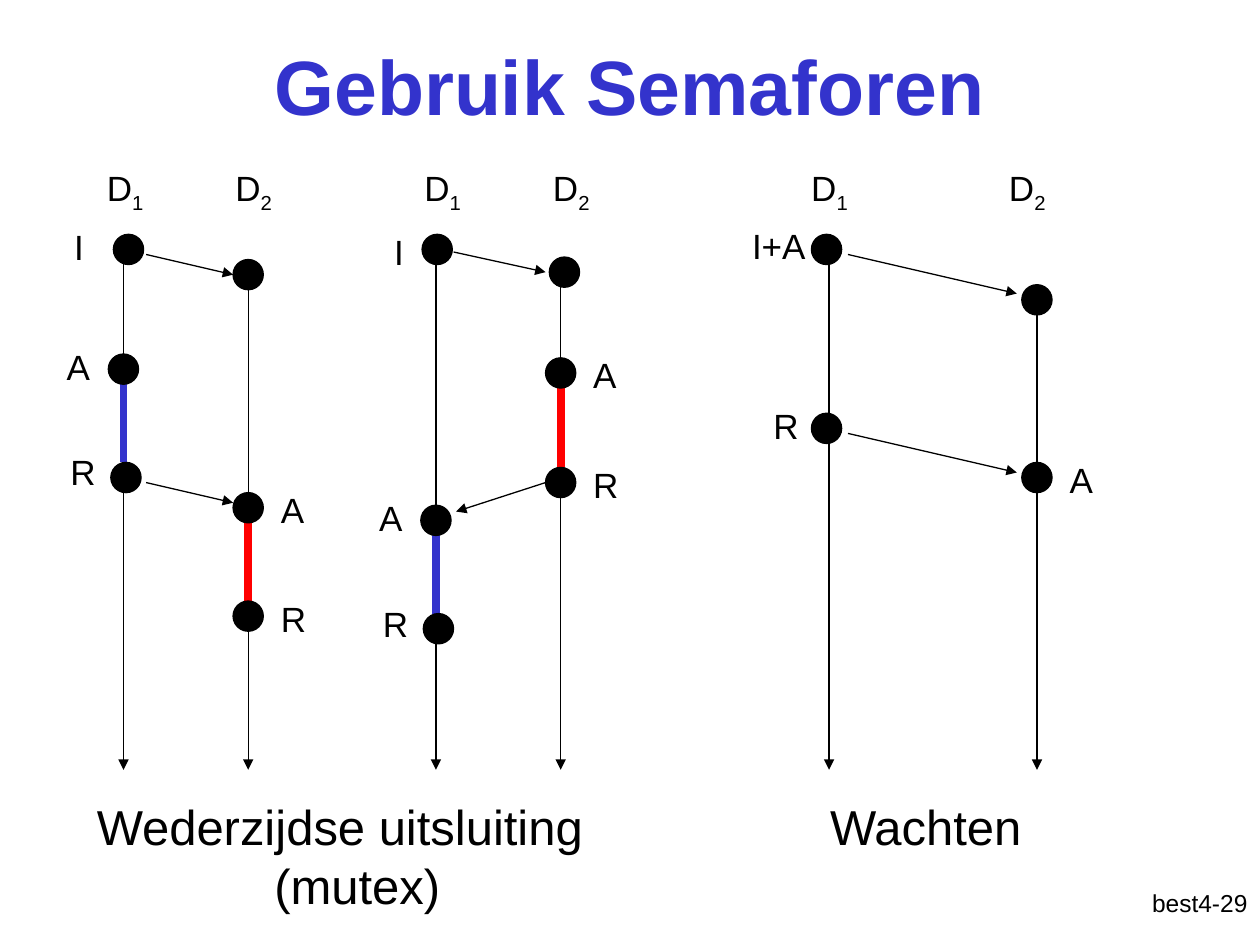
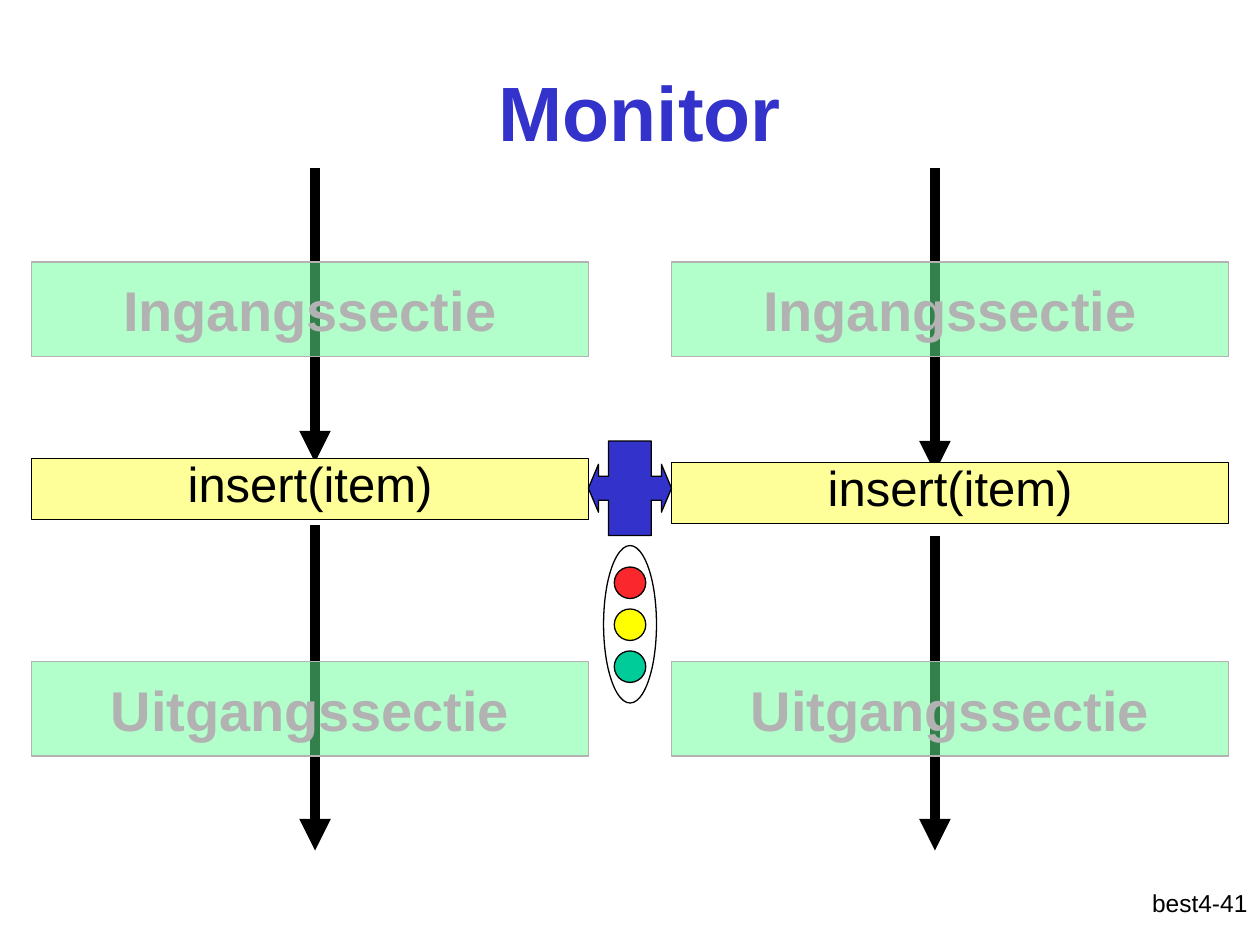
from lxml import etree
from pptx import Presentation
from pptx.dml.color import RGBColor
from pptx.enum.shapes import MSO_CONNECTOR, MSO_SHAPE
from pptx.enum.text import MSO_ANCHOR as ANCHOR, PP_ALIGN as ALIGN
from pptx.oxml.ns import qn
from pptx.util import Inches, Pt

COLORS = {
    "black": "000000", "white": "FFFFFF", "blue": "3333CC", "red": "FF0000",
    "grey": "B2B2B2", "mint": "66FF99", "cream": "FFFF99",
    "stop": "FA282D", "caution": "FFFF00", "go": "00CC99",
}
RGB = {name: RGBColor.from_string(value) for name, value in COLORS.items()}
FONT = "Arial"

deck = Presentation()
deck.slide_width, deck.slide_height = Inches(10), Inches(7.5)
UNIT = deck.slide_width / 100  # the grid has 100 columns and 75 rows


def place(slide, box, text="", size=20, color="black", bold=False, align=ALIGN.LEFT,
          anchor=ANCHOR.TOP, preset=None, fill="black", line="black", weight=0.75):
    """Put a text box, or a filled preset shape, on a box of grid units."""
    area = [round(length * UNIT) for length in box]
    if preset is None:
        item = slide.shapes.add_textbox(*area)
    else:
        item = slide.shapes.add_shape(preset, *area)
        item.shadow.inherit = False
        item.fill.solid()
        item.fill.fore_color.rgb = RGB[fill]
        item.line.color.rgb = RGB[line]
        item.line.width = Pt(weight)
    if text:
        frame = item.text_frame
        frame.text = text
        frame.word_wrap = True
        frame.vertical_anchor = anchor
        for paragraph in frame.paragraphs:
            paragraph.alignment = align
            for run in paragraph.runs:
                run.font.name, run.font.size, run.font.bold = FONT, Pt(size), bold
                run.font.color.rgb = RGB[color]
    return item


def connect(slide, x1, y1, x2, y2, color="black", weight=0.75, arrow=True):
    ends = [round(length * UNIT) for length in (x1, y1, x2, y2)]
    link = slide.shapes.add_connector(MSO_CONNECTOR.STRAIGHT, *ends)
    link.line.color.rgb = RGB[color]
    link.line.width = Pt(weight)
    if arrow:
        etree.SubElement(link.line._get_or_add_ln(), qn("a:tailEnd"), type="triangle")
    etree.SubElement(link._element.spPr, qn("a:effectLst"))


slides = []
for title, left, top, page in [("Gebruik Semaforen", 7.5, 0.5, "best4-29"),
                               ("Monitor", 8.3, 2.5, "best4-41")]:
    slide = deck.slides.add_slide(deck.slide_layouts[6])
    place(slide, (79.2, 70, 20.8, 5), page, 14, align=ALIGN.RIGHT)
    place(slide, (left, top, 85, 12.5), title, 44, "blue", True, ALIGN.CENTER, ANCHOR.MIDDLE)
    slides.append(slide)
semaphores, monitor = slides

# Semaphore use: three scenarios of two processes each
LANE_END, DOT, SECTION = 61.1, 2.4, 6.3
scenarios = [
    {"heads": (7.5, 17.7),
     "lanes": [(9.8, 20.2), (19.7, 21)],
     "sections": [(9.8, 30.4, "blue"), (19.7, 41.4, "red")],
     # dot left, dot top, label, label left, label top
     "events": [(9, 18.6, "I", 4.9, 17.4), (18.5, 20.6, "", 0, 0),
                (8.6, 28.1, "A", 4.3, 26.9), (8.8, 36.7, "R", 4.6, 35.3),
                (18.5, 39.1, "A", 21.3, 38.3), (18.5, 47.7, "R", 21.3, 46.9)],
     "signals": [(11.6, 20.2, 18.5, 21.8), (11.6, 38.3, 18.5, 39.9)]},
    {"heads": (32.7, 42.9),
     "lanes": [(34.6, 20.2), (44.5, 21)],
     "sections": [(34.6, 42.4, "blue"), (44.5, 30.8, "red")],
     "events": [(33.5, 18.6, "I", 30.3, 17.8), (43.6, 20.4, "", 0, 0),
                (43.3, 28.4, "A", 46.1, 27.6), (43.3, 37.1, "R", 46.1, 36.3),
                (33.4, 40.1, "A", 29.1, 38.9), (33.6, 48.7, "R", 29.4, 47.3)],
     "signals": [(36, 20, 43.3, 21.6), (43.3, 38.3, 36.2, 40.6)]},
    {"heads": (63.4, 79.1),
     "lanes": [(65.8, 20.2), (82.3, 23.3)],
     "sections": [],
     "events": [(64.4, 18.6, "I+A", 58.7, 17.3), (81.1, 22.6, "", 0, 0),
                (64.4, 32.8, "R", 60.4, 31.6), (81.1, 36.7, "A", 83.9, 35.9)],
     "signals": [(67.3, 20.2, 80.7, 23.3), (67.3, 34.4, 80.7, 37.5)]},
]
for scenario in scenarios:
    for number, left in enumerate(scenario["heads"], 1):
        head = place(semaphores, (left, 12.7, 9.4, 4.8), "D")
        index = head.text_frame.paragraphs[0].add_run()
        index.text = str(number)
        index.font.name, index.font.size = FONT, Pt(20)
        index.font.color.rgb = RGB["black"]
        index._r.get_or_add_rPr().set("baseline", "-25000")
    for x, start in scenario["lanes"]:
        connect(semaphores, x, start, x, LANE_END)
    for x, start, color in scenario["sections"]:
        connect(semaphores, x, start, x, start + SECTION, color, 4.5, arrow=False)
    for x, y, label, label_x, label_y in scenario["events"]:
        place(semaphores, (x, y, DOT, DOT), preset=MSO_SHAPE.OVAL)
        if label:
            width = 7.1 if len(label) > 1 else 3.9
            place(semaphores, (label_x, label_y, width, 4.4), label)
    for signal in scenario["signals"]:
        connect(semaphores, *signal)

mutex = place(semaphores, (6.7, 62.7, 43.3, 10), "Wederzijdse uitsluiting\n(mutex)", 28)
second_line = mutex.text_frame.paragraphs[1]
second_line.alignment = ALIGN.CENTER
second_line.line_spacing = 0.4
second_line.space_before = Pt(17.5)
place(semaphores, (64.9, 62.7, 30.7, 5.7), "Wachten", 28)

# Monitor: two processes guarded by one traffic light
SIDE = 44.2
processes = [  # box left, flow x, insert top, first flow end, second flow start
    (2.5, 25, 36.4, 36.7, 41.7),
    (53.3, 74.2, 36.7, 37.5, 42.5),
]
for left, flow, insert_top, entry_end, exit_start in processes:
    connect(monitor, flow, 13.3, flow, entry_end, weight=6)
    connect(monitor, flow, exit_start, flow, 67.5, weight=6)
    insert = place(monitor, (left, insert_top, SIDE, 4.8), "insert(item)", 28,
                   align=ALIGN.CENTER, preset=MSO_SHAPE.RECTANGLE, fill="cream", weight=0.25)
    insert.text_frame.paragraphs[0].line_spacing = 0.8
    for section, top in [("Ingangssectie", 20.8), ("Uitgangssectie", 52.5)]:
        band = place(monitor, (left, top, SIDE, 7.5), section, 32, "grey", True, ALIGN.CENTER,
                     ANCHOR.MIDDLE, MSO_SHAPE.RECTANGLE, "mint", "grey")
        tint = band._element.spPr.find(".//" + qn("a:srgbClr"))
        etree.SubElement(tint, qn("a:alpha"), val="50000")

# The exclusion cross follows from its upper right quarter by symmetry
quarter = [(1.7, -3.75), (1.7, -0.95), (2.5, -0.95), (2.5, -1.9), (3.3, 0)]
right_half = quarter + [(x, -y) for x, y in reversed(quarter[:-1])]
outline = right_half + [(-x, -y) for x, y in right_half]
corners = [(round((50 + x) * UNIT), round((38.75 + y) * UNIT)) for x, y in outline]
builder = monitor.shapes.build_freeform(*corners[0])
builder.add_line_segments(corners[1:], close=True)
cross = builder.convert_to_shape()
cross.shadow.inherit = False
cross.fill.solid()
cross.fill.fore_color.rgb = RGB["blue"]
cross.line.color.rgb = RGB["black"]
cross.line.width = Pt(0.75)

place(monitor, (47.9, 43.3, 4.2, 12.5), preset=MSO_SHAPE.OVAL, fill="white")
for step, lamp in enumerate(["stop", "caution", "go"]):
    place(monitor, (48.75, 45 + step * 3.33, 2.5, 2.5), preset=MSO_SHAPE.OVAL, fill=lamp)

deck.save("out.pptx")
